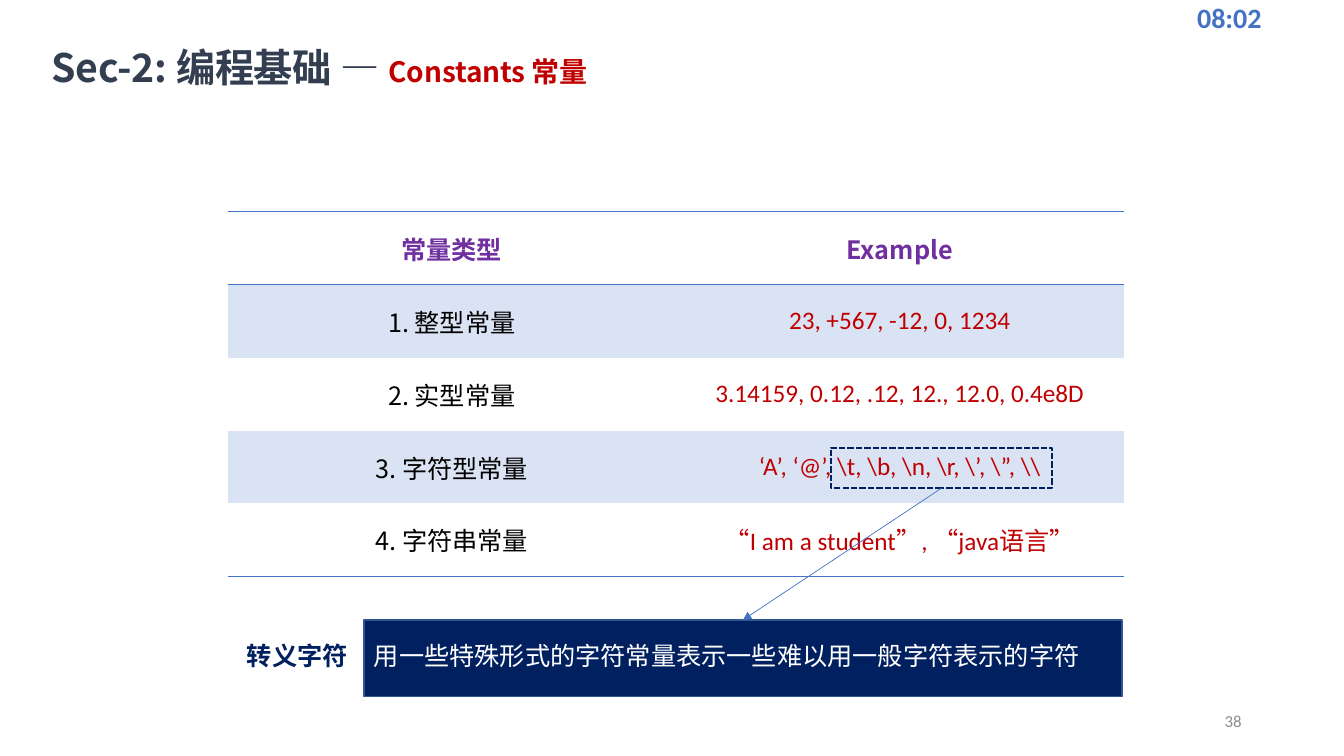
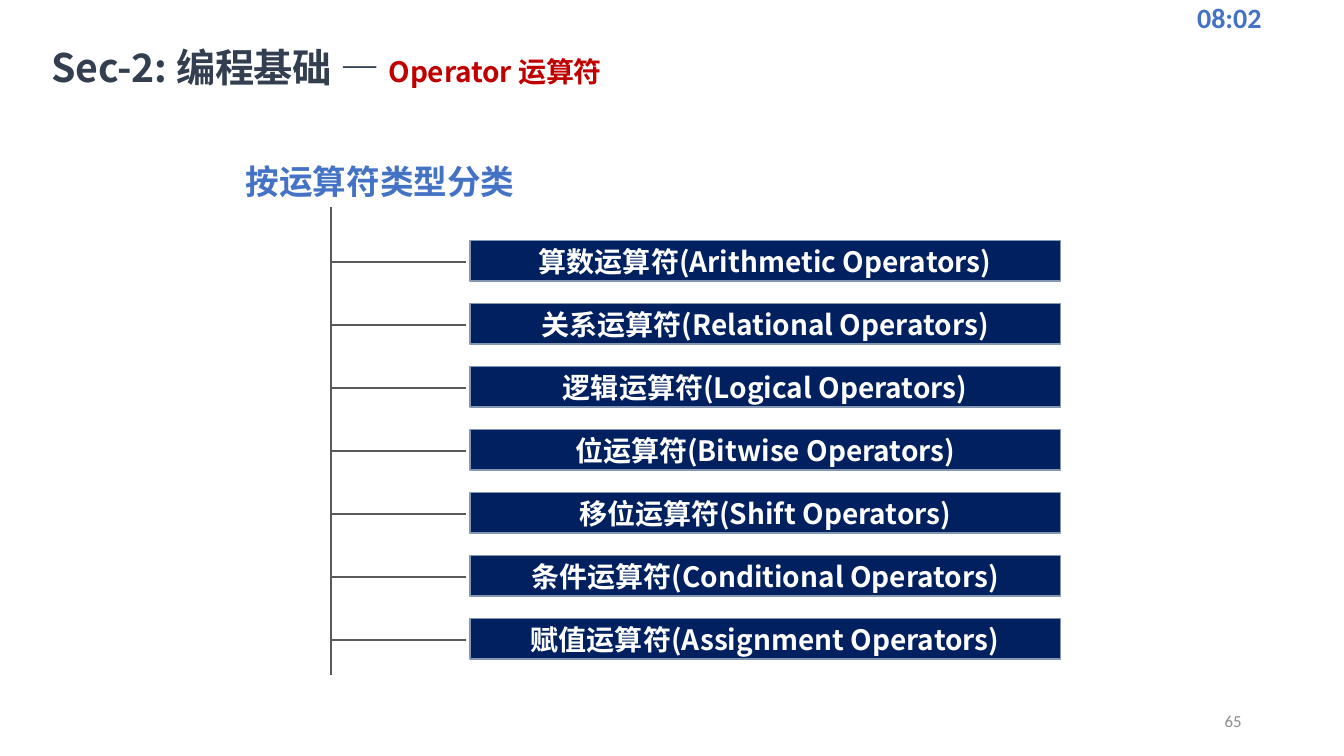
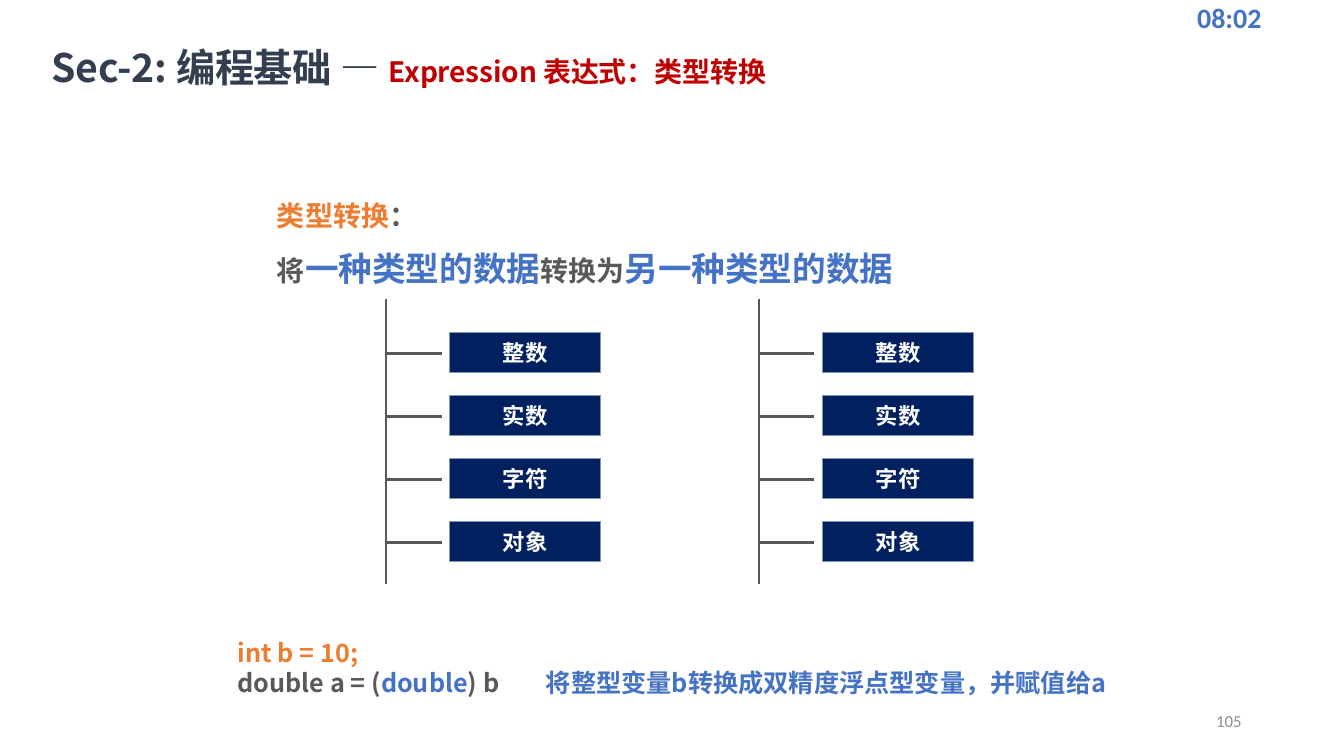
from lxml import etree
from pptx import Presentation
from pptx.dml.color import RGBColor
from pptx.enum.dml import MSO_LINE_DASH_STYLE as DASH
from pptx.enum.shapes import MSO_CONNECTOR as CONN, MSO_SHAPE as SHAPE
from pptx.enum.text import MSO_ANCHOR as ANCHOR, PP_ALIGN as ALIGN
from pptx.oxml.ns import qn
from pptx.util import Pt

# Shared look
CJK, LATIN = "Noto Sans CJK SC", "Calibri"
NAVY, BLUE, GREY, RED = "002060", "4472C4", "595959", "C00000"
ORANGE, PURPLE, WHITE, BLACK = "ED7D31", "7030A0", "FFFFFF", "000000"
SLATE, PALE, EDGE, FAINT = "333F50", "DAE3F3", "8497B0", "8C8C8C"


def rgb(value):
    return RGBColor.from_string(value)


def add_runs(p, runs):
    """Each run is (text, size, colour, format values)."""
    for text, size, color, fmt in runs:
        r = p.add_run()
        r.text = text
        values = {"size": Pt(size), "bold": False, "name": CJK, **fmt}
        for key, value in values.items():
            setattr(r.font, key, value)
        r.font.color.rgb = rgb(color)
        ea = etree.SubElement(r.font._element, qn("a:ea"))
        ea.set("typeface", CJK)


def fill_text(tf, paragraphs, align=ALIGN.LEFT, anchor=ANCHOR.TOP, tight=False):
    tf.word_wrap = True
    tf.vertical_anchor = anchor
    for i, runs in enumerate(paragraphs):
        p = tf.add_paragraph() if i else tf.paragraphs[0]
        p.alignment = align
        if tight:
            p.line_spacing = Pt(1.2 * max(run[1] for run in runs))
        add_runs(p, runs)


def textbox(s, box, paragraphs, insets=None, **layout):
    tf = s.shapes.add_textbox(*map(Pt, box)).text_frame
    for side, value in (insets or {}).items():
        setattr(tf, f"margin_{side}", Pt(value))
    fill_text(tf, paragraphs, **layout)
    return tf


def rect(s, box, fill, line, width=1):
    sp = s.shapes.add_shape(SHAPE.RECTANGLE, *map(Pt, box))
    sp.shadow.inherit = False
    if fill:
        sp.fill.solid()
        sp.fill.fore_color.rgb = rgb(fill)
    else:
        sp.fill.background()
    sp.line.color.rgb = rgb(line)
    sp.line.width = Pt(width)
    return sp


def line(s, x1, y1, x2, y2, color=GREY, width=1.5):
    c = s.shapes.add_connector(CONN.STRAIGHT, *map(Pt, (x1, y1, x2, y2)))
    c.line.color.rgb = rgb(color)
    c.line.width = Pt(width)
    etree.SubElement(c._element.spPr, qn("a:effectLst"))
    return c


def base_slide(prs, topic, number):
    """Blank slide with clock, section title and page number."""
    s = prs.slides.add_slide(prs.slide_layouts[6])
    textbox(s, (848, 0, 108, 24), [[("08:02", 20, BLUE, {"bold": True, "name": LATIN})]],
            insets={"top": 0, "bottom": 0}, anchor=ANCHOR.MIDDLE)
    textbox(s, (678, 500.4, 216, 28.8), [[(number, 12, FAINT, {"name": LATIN})]],
            align=ALIGN.RIGHT, anchor=ANCHOR.MIDDLE)
    tf = textbox(s, (36, 30.5, 552, 34.5),
                 [[("Sec-2: 编程基础 — ", 28, SLATE, {"bold": True}),
                   (topic, 20, RED, {"bold": True})]],
                 insets={"left": 0.7, "top": 0.7, "right": 0, "bottom": 0}, tight=True)
    for r in tf.paragraphs[0].runs:
        r.font._element.set("spc", "-10")
    return s


def set_borders(cell, top, bottom):
    tc_pr = cell._tc.get_or_add_tcPr()
    for tag, shown in (("lnL", False), ("lnR", False), ("lnT", top), ("lnB", bottom)):
        ln = etree.SubElement(tc_pr, qn(f"a:{tag}"), w="12700" if shown else "0")
        if shown:
            solid = etree.SubElement(ln, qn("a:solidFill"))
            etree.SubElement(solid, qn("a:srgbClr"), val=BLUE)
        else:
            etree.SubElement(ln, qn("a:noFill"))


def constant_table(s, box, rows):
    tbl = s.shapes.add_table(len(rows), 2, *map(Pt, box)).table
    ruled = (0, 1, len(rows))
    for i, row in enumerate(rows):
        tbl.rows[i].height = Pt(box[3] / len(rows))
        for j, text in enumerate(row):
            cell = tbl.cell(i, j)
            set_borders(cell, i in ruled, i + 1 in ruled)
            if i % 2:
                cell.fill.solid()
                cell.fill.fore_color.rgb = rgb(PALE)
            else:
                cell.fill.background()
            if i == 0:
                run = (text, 18, PURPLE, {"bold": True})
            elif j == 0:
                run = (text, 18, BLACK, {})
            else:
                run = (text, 18, RED, {"name": LATIN})
            fill_text(cell.text_frame, [[run]], align=ALIGN.CENTER)
            cell.vertical_anchor = ANCHOR.MIDDLE


def escape_note(s, box, marked_box):
    """Explanation bar with its label, pointed at by the marked characters."""
    x, y, w, h = box
    textbox(s, (x - 94.4, y + 10.8, 93.6, 28.8), [[("转义字符", 18, NAVY, {"bold": True})]],
            align=ALIGN.CENTER, tight=True)
    bar = rect(s, box, NAVY, "325491")
    textbox(s, (x, y + 10.8, w, 28.8),
            [[("用一些特殊形式的字符常量表示一些难以用一般字符表示的字符", 18, WHITE, {})]],
            tight=True)
    mark = rect(s, marked_box, None, NAVY, 1.5)
    mark.line.dash_style = DASH.SQUARE_DOT
    arrow = line(s, 0, 0, 1, 1, BLUE, 0.5)
    arrow.begin_connect(mark, 2)
    arrow.end_connect(bar, 0)
    etree.SubElement(arrow.line._get_or_add_ln(), qn("a:tailEnd"), type="triangle")


def tree(s, box, branch, gap, names, size):
    """Trunk at the left of the box, with one branch and bar for each name."""
    x, y, w, h = box
    pitch, bar_h = 45, 28.8
    line(s, x, y, x, y + h)
    bar_x = branch + gap
    for i, name in enumerate(names):
        branch_y = y + 39 + i * pitch
        line(s, x, branch_y, x + branch, branch_y)
        bar = rect(s, (x + bar_x, y + 24 + i * pitch, w - bar_x, bar_h), NAVY, EDGE)
        fill_text(bar.text_frame, [[(name, size, WHITE, {"bold": True})]],
                  align=ALIGN.CENTER, anchor=ANCHOR.MIDDLE)


def constants_slide(prs):
    s = base_slide(prs, "Constants 常量", "38")
    constant_table(s, (162.7, 151.2, 640, 260.6), [
        ("常量类型", "Example"),
        ("1. 整型常量", "23, +567, -12, 0, 1234"),
        ("2. 实型常量", "3.14159, 0.12, .12, 12., 12.0, 0.4e8D"),
        ("3. 字符型常量", "‘A’, ‘@’, \\t, \\b, \\n, \\r, \\’, \\”, \\\\"),
        ("4. 字符串常量", "“I am a student”, “java语言”"),
    ])
    escape_note(s, (260, 442.8, 541.4, 54.7), (593.3, 319.7, 158.4, 29))


def operators_slide(prs):
    s = base_slide(prs, "Operator 运算符", "65")
    textbox(s, (168.5, 111.6, 255, 36), [[("按运算符类型分类", 24, BLUE, {"bold": True})]],
            tight=True)
    tree(s, (236.2, 148, 521.3, 334), 96.5, 3, [
        "算数运算符(Arithmetic Operators)",
        "关系运算符(Relational Operators)",
        "逻辑运算符(Logical Operators)",
        "位运算符(Bitwise Operators)",
        "移位运算符(Shift Operators)",
        "条件运算符(Conditional Operators)",
        "赋值运算符(Assignment Operators)",
    ], 20)


def conversion_slide(prs):
    s = base_slide(prs, "Expression 表达式：类型转换", "105")
    bold = {"bold": True}

    # Definition
    tf = textbox(s, (190.8, 138.2, 601, 72.7), [
        [("类型转换", 20, ORANGE, bold), ("：", 20, GREY, bold)],
        [("将", 20, GREY, bold), ("一种类型的数据", 24, BLUE, bold),
         ("转换为", 20, GREY, bold), ("另一种类型的数据", 24, BLUE, bold)],
    ], tight=True)
    tf.paragraphs[1].space_before = Pt(11)

    # Source and target types
    for x in (275.8, 542.2):
        tree(s, (x, 213.5, 153.4, 204), 39.6, 5.8, ["整数", "实数", "字符", "对象"], 16)

    # Code example
    tf = textbox(s, (162.7, 451.4, 663, 51), [
        [("int b = 10;", 18, ORANGE, bold)],
        [("double a = (", 18, GREY, bold), ("double", 18, BLUE, bold),
         (") b\t ", 18, GREY, bold),
         ("将整型变量b转换成双精度浮点型变量，并赋值给a", 18, BLUE, bold)],
    ], tight=True)
    tabs = etree.SubElement(tf.paragraphs[1]._p.get_or_add_pPr(), qn("a:tabLst"))
    etree.SubElement(tabs, qn("a:tab"), pos=str(Pt(216)), algn="l")


def main():
    prs = Presentation()
    prs.slide_width, prs.slide_height = Pt(960), Pt(540)
    constants_slide(prs)
    operators_slide(prs)
    conversion_slide(prs)
    prs.save("out.pptx")


if __name__ == "__main__":
    main()
